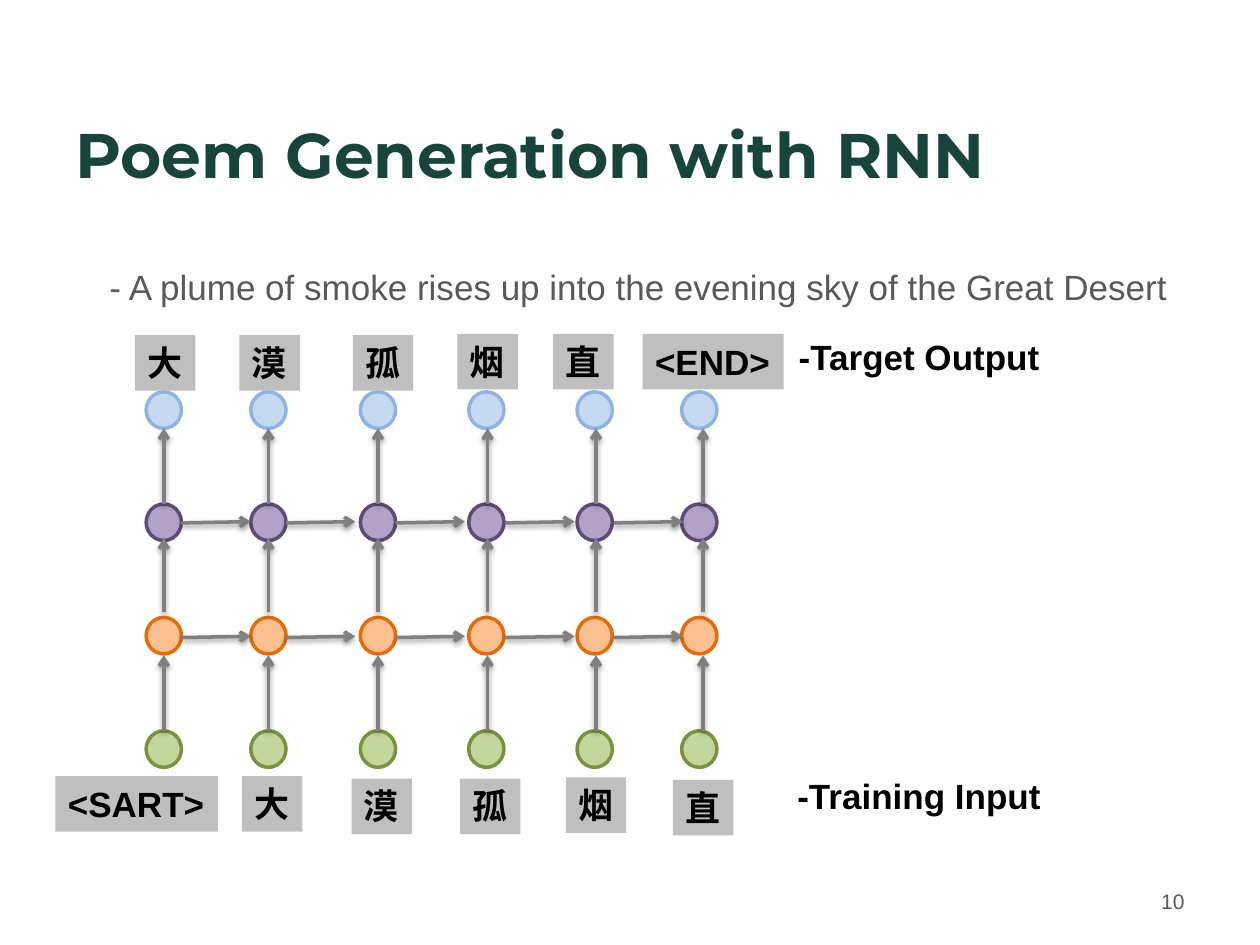
"""Build a slide showing an unrolled two-layer RNN that generates a poem."""
from lxml import etree
from pptx import Presentation
from pptx.dml.color import RGBColor
from pptx.enum.shapes import MSO_CONNECTOR, MSO_SHAPE
from pptx.enum.text import MSO_ANCHOR, PP_ALIGN
from pptx.oxml import parse_xml
from pptx.oxml.ns import qn
from pptx.util import Inches, Pt

STRAIGHT = MSO_CONNECTOR.STRAIGHT
OVAL = MSO_SHAPE.OVAL
TOP, MIDDLE = MSO_ANCHOR.TOP, MSO_ANCHOR.MIDDLE
LEFT, RIGHT = PP_ALIGN.LEFT, PP_ALIGN.RIGHT

GREEN = RGBColor(0x18, 0x45, 0x3B)
DARK_GRAY = RGBColor(0x59, 0x59, 0x59)
ARROW_GRAY = RGBColor(0x80, 0x80, 0x80)
LABEL_GRAY = RGBColor(0xBF, 0xBF, 0xBF)
BLACK = RGBColor(0x00, 0x00, 0x00)
OUTPUT_FILL, OUTPUT_LINE = RGBColor(0xC6, 0xD9, 0xF1), RGBColor(0x8E, 0xB4, 0xE3)
UPPER_FILL, UPPER_LINE = RGBColor(0xB3, 0xA2, 0xC7), RGBColor(0x5F, 0x4A, 0x78)
LOWER_FILL, LOWER_LINE = RGBColor(0xFA, 0xC0, 0x90), RGBColor(0xE4, 0x6C, 0x0A)
INPUT_FILL, INPUT_LINE = RGBColor(0xC3, 0xD6, 0x9B), RGBColor(0x77, 0x93, 0x3C)

SHADOW_XML = (
    '<a:effectLst xmlns:a="http://schemas.openxmlformats.org/drawingml/2006/main">'
    '<a:outerShdw blurRad="40000" dist="20000" dir="5400000" rotWithShape="0">'
    '<a:srgbClr val="000000"><a:alpha val="38000"/></a:srgbClr>'
    '</a:outerShdw></a:effectLst>'
)

deck = Presentation()
deck.slide_width, deck.slide_height = Inches(10), Inches(7.5)
page = deck.slides.add_slide(deck.slide_layouts[6])


def add_text(text, left, top, width, height, size=20, color=BLACK, bold=True,
             font="Arial", align=LEFT, anchor=TOP, wrap=False):
    box = page.shapes.add_textbox(Inches(left), Inches(top), Inches(width), Inches(height))
    frame = box.text_frame
    frame.text = text
    frame.word_wrap = wrap
    frame.vertical_anchor = anchor
    para = frame.paragraphs[0]
    para.alignment = align
    span = para.runs[0]
    span.font.name, span.font.size, span.font.bold = font, Pt(size), bold
    span.font.color.rgb = color
    return box


def add_arrow(start_x, start_y, end_x, end_y):
    arrow = page.shapes.add_connector(
        STRAIGHT, Inches(start_x), Inches(start_y), Inches(end_x), Inches(end_y))
    arrow.line.color.rgb = ARROW_GRAY
    arrow.line.width = Pt(2)
    etree.SubElement(arrow.line._get_or_add_ln(), qn("a:tailEnd"), type="arrow")
    arrow._element.spPr.append(parse_xml(SHADOW_XML))


title = add_text("Poem Generation with RNN", 0.5, 0.82, 9, 1.07, size=36, color=GREEN,
                 font="Montserrat", wrap=True)
title.text_frame.margin_top = title.text_frame.margin_bottom = Inches(0.1)
add_text("10", 7.17, 6.95, 2.33, 0.4, size=12, color=DARK_GRAY, bold=False,
         align=RIGHT, anchor=MIDDLE, wrap=True)

node_lefts = [1.16, 1.99, 2.86, 3.72, 4.58, 5.41]
layers = [
    (3.11, OUTPUT_FILL, OUTPUT_LINE),
    (4, UPPER_FILL, UPPER_LINE),
    (4.9, LOWER_FILL, LOWER_LINE),
    (5.8, INPUT_FILL, INPUT_LINE),
]
for top, fill, line in layers:
    for left in node_lefts:
        node = page.shapes.add_shape(OVAL, Inches(left), Inches(top), Inches(0.28), Inches(0.29))
        node.shadow.inherit = False
        node.fill.solid()
        node.fill.fore_color.rgb = fill
        node.line.color.rgb = line
        node.line.width = Pt(2)

labels = [
    ("<SART>", 0.44, 6.16, 1.29),
    ("大", 1.92, 6.16, 0.48),
    ("漠", 2.79, 6.18, 0.48),
    ("孤", 3.65, 6.18, 0.48),
    ("烟", 4.49, 6.17, 0.48),
    ("直", 5.34, 6.19, 0.48),
    ("大", 1.07, 2.66, 0.48),
    ("漠", 1.9, 2.66, 0.48),
    ("孤", 2.8, 2.66, 0.48),
    ("烟", 3.63, 2.65, 0.48),
    ("直", 4.39, 2.65, 0.48),
    ("<END>", 5.1, 2.65, 1.12),
]
for token, left, top, width in labels:
    label = add_text(token, left, top, width, 0.44)
    label.fill.solid()
    label.fill.fore_color.rgb = LABEL_GRAY

arrow_columns = [1.3, 2.13, 3, 3.87, 4.73, 5.58]
for start_y, end_y in [(4, 3.4), (4.86, 4.27), (5.8, 5.2)]:
    for x in arrow_columns:
        add_arrow(x, start_y, x, end_y)

for y in (4.15, 5.06):
    for x in arrow_columns[:-1]:
        add_arrow(x + 0.14, y, x + 0.69, y - 0.01)

add_text("-Training Input", 6.23, 6.1, 2.16, 0.44)
add_text("-Target Output", 6.24, 2.61, 2.15, 0.44)
add_text("- A plume of smoke rises up into the evening sky of the Great Desert",
         0.77, 2.06, 8.7, 0.44, color=DARK_GRAY, bold=False)

deck.save("out.pptx")
